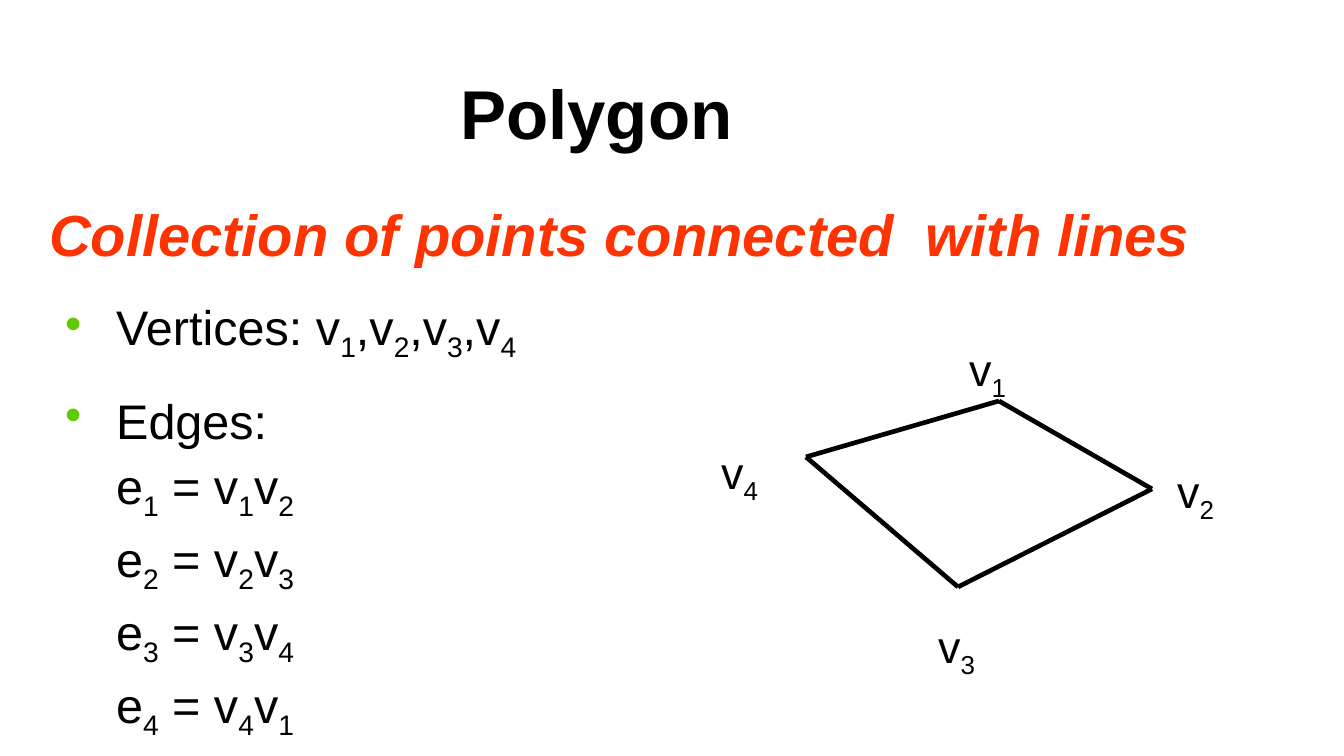
from dataclasses import dataclass
from itertools import groupby

from lxml import etree
from pptx import Presentation
from pptx import util as u
from pptx.dml.color import RGBColor
from pptx.enum import shapes, text
from pptx.oxml.ns import qn

EMU_PER_PX = 914400 / 134.4


@dataclass(frozen=True)
class Theme:
    font: str = "Arial"
    ink: str = "000000"
    accent: str = "FF3300"
    bullet: str = "60C900"
    title_size: int = 37
    lead_size: int = 31
    body_size: int = 26
    label_size: int = 24
    edge_width: float = 2.5


THEME = Theme()


def px(length):
    return u.Emu(round(length * EMU_PER_PX))


def add_frame(slide, left, top, width, height, anchor=text.MSO_ANCHOR.TOP):
    frame = slide.shapes.add_textbox(px(left), px(top), px(width), px(height)).text_frame
    frame.word_wrap = True
    frame.vertical_anchor = anchor
    return frame


def style(paragraph, size, color=THEME.ink, bold=False, italic=False, spacing=1.0):
    paragraph.line_spacing = spacing
    font = paragraph.font
    font.name, font.size = THEME.font, u.Pt(size)
    font.bold, font.italic = bold, italic
    font.color.rgb = RGBColor.from_string(color)


def write_indexed(paragraph, content):
    for number, line in enumerate(content.split("\n")):
        if number:
            paragraph.add_line_break()
        for is_index, characters in groupby(line, str.isdigit):
            run = paragraph.add_run()
            run.text = "".join(characters)
            if is_index:
                run.font._element.set("baseline", "-25000")


def add_bullet(paragraph):
    properties = paragraph._p.get_or_add_pPr()
    properties.set("marL", str(px(67)))
    properties.set("indent", str(px(-51)))
    color = etree.SubElement(properties, qn("a:buClr"))
    etree.SubElement(color, qn("a:srgbClr"), val=THEME.bullet)
    etree.SubElement(properties, qn("a:buChar"), char="•")
    paragraph.space_before = u.Pt(12)


def add_title(slide, content):
    title = add_frame(slide, 38, 34, 1117, 126, text.MSO_ANCHOR.BOTTOM).paragraphs[0]
    title.alignment = text.PP_ALIGN.CENTER
    style(title, THEME.title_size, bold=True, spacing=1.04)
    title.add_run().text = content


def add_definition(slide, lead, items):
    frame = add_frame(slide, 36, 185, 1267, 538)
    definition = frame.paragraphs[0]
    style(definition, THEME.lead_size, THEME.accent, bold=True, italic=True, spacing=1.1)
    definition.add_run().text = lead
    for content in items:
        item = frame.add_paragraph()
        add_bullet(item)
        style(item, THEME.body_size, spacing=1.1)
        write_indexed(item, content)


def add_edge(slide, start, end):
    edge = slide.shapes.add_connector(
        shapes.MSO_CONNECTOR.STRAIGHT, *map(px, (*start, *end)))
    edge.line.color.rgb = RGBColor.from_string(THEME.ink)
    edge.line.width = u.Pt(THEME.edge_width)
    etree.SubElement(edge._element.spPr, qn("a:effectLst"))


def add_vertex_label(slide, left, top, content):
    label = add_frame(slide, left, top, 77, 51).paragraphs[0]
    style(label, THEME.label_size)
    write_indexed(label, content)


def main():
    deck = Presentation()
    deck.slide_width, deck.slide_height = px(1344), px(756)
    slide = deck.slides.add_slide(deck.slide_layouts[6])

    add_title(slide, "Polygon")
    edges = [f"e{i} = v{i}v{i % 4 + 1}" for i in range(1, 5)]
    add_definition(slide, "Collection of points connected  with lines",
                   ["Vertices: v1,v2,v3,v4", "\n".join(["Edges: ", *edges])])

    vertices = [(999, 401), (1152, 489), (958, 587), (806, 457)]
    for start, end in zip(vertices, vertices[1:] + vertices[:1]):
        add_edge(slide, start, end)

    label_corners = [(956, 335), (1164, 457), (925, 612), (708, 438)]
    for index, (left, top) in enumerate(label_corners, 1):
        add_vertex_label(slide, left, top, f"v{index}")

    deck.save("out.pptx")


if __name__ == "__main__":
    main()
